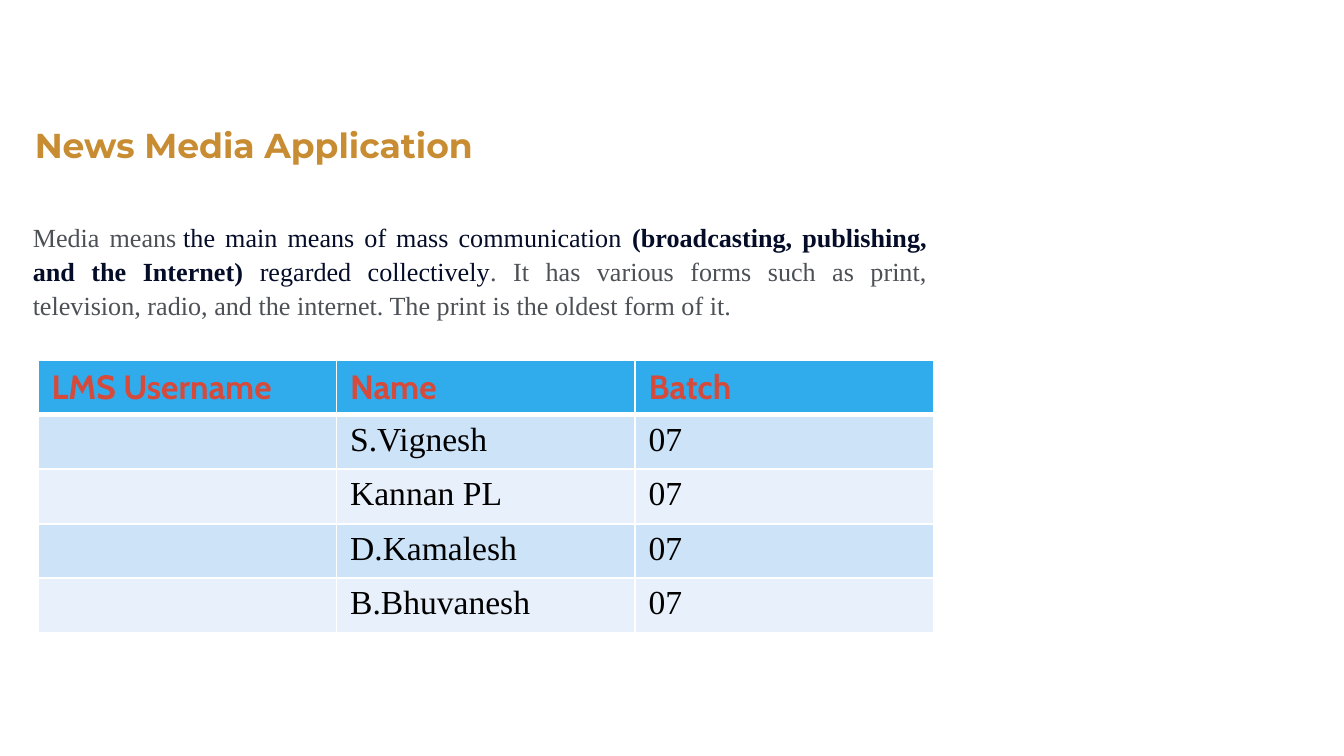
from lxml.etree import SubElement
from pptx import Presentation
from pptx.dml.color import RGBColor
from pptx.enum.text import PP_ALIGN
from pptx.oxml.ns import qn
from pptx.util import Cm, Pt

GOLD = RGBColor(0xC8, 0x8C, 0x32)
GREY = RGBColor(0x4D, 0x51, 0x56)
NAVY = RGBColor(0x04, 0x0C, 0x28)
RED = RGBColor(0xD6, 0x4A, 0x3B)
BLACK = RGBColor(0x00, 0x00, 0x00)
WHITE = RGBColor(0xFF, 0xFF, 0xFF)
BLUE = RGBColor(0x30, 0xAC, 0xEC)
BANDS = (RGBColor(0xCD, 0xE3, 0xF8), RGBColor(0xE8, 0xF1, 0xFB))
SERIF = "Times New Roman"

INTRO = [
    ("Media means\u00a0", GREY, False),
    ("the main means of mass communication ", NAVY, False),
    ("(broadcasting, publishing, and the Internet)", NAVY, True),
    (" regarded collectively", NAVY, False),
    (". It has various forms such as print, television, radio, and the internet. "
     "The print is the oldest form of it.", GREY, False),
]
TEAM = [
    ("LMS Username", "Name", "Batch"),
    ("", "S.Vignesh", "07"),
    ("", "Kannan PL", "07"),
    ("", "D.Kamalesh", "07"),
    ("", "B.Bhuvanesh", "07"),
]


def add_run(p, text, font, size, color, bold):
    """Append one formatted run to a paragraph."""
    r = p.add_run()
    r.text = text
    r.font.name = font
    r.font.size = Pt(size)
    r.font.color.rgb = color
    r.font.bold = bold


def add_paragraph_box(s, box, spacing, align):
    """Add a wrapping text box without margins and return its paragraph."""
    tf = s.shapes.add_textbox(*box).text_frame
    tf.word_wrap = True
    tf.margin_left = tf.margin_top = tf.margin_right = tf.margin_bottom = 0
    p = tf.paragraphs[0]
    p.line_spacing = Pt(spacing)
    p.alignment = align
    return p


def add_title(s, box):
    """Place the slide heading in the given box."""
    p = add_paragraph_box(s, box, 23.8, PP_ALIGN.LEFT)
    add_run(p, "News Media Application", "Montserrat", 18.5, GOLD, True)


def add_intro(s, box):
    """Place the justified introduction in the given box."""
    p = add_paragraph_box(s, box, 18, PP_ALIGN.JUSTIFY)
    for text, color, bold in INTRO:
        add_run(p, text, SERIF, 14, color, bold)


def set_borders(cell, bottom):
    """Draw white cell borders, with the bottom width in points."""
    tcPr = cell._tc.get_or_add_tcPr()
    for side, width in (("L", 1), ("R", 1), ("T", 1), ("B", bottom)):
        ln = SubElement(tcPr, qn(f"a:ln{side}"), w=str(Pt(width)))
        fill = SubElement(ln, qn("a:solidFill"))
        SubElement(fill, qn("a:srgbClr"), val=str(WHITE))


def add_team_table(s, box):
    """Place the banded team table in the given box."""
    table = s.shapes.add_table(len(TEAM), len(TEAM[0]), *box).table
    for i, row in enumerate(TEAM):
        header = i == 0
        for j, text in enumerate(row):
            cell = table.cell(i, j)
            set_borders(cell, 3 if header else 1)
            cell.fill.solid()
            cell.fill.fore_color.rgb = BLUE if header else BANDS[(i - 1) % 2]
            p = cell.text_frame.paragraphs[0]
            if header:
                add_run(p, text, "Cabin", 18, RED, True)
            elif text:
                add_run(p, text, SERIF, 18, BLACK, False)


def main():
    """Build the slide and save it."""
    prs = Presentation()
    prs.slide_width, prs.slide_height = Cm(25.4), Cm(14.29)
    s = prs.slides.add_slide(prs.slide_layouts[6])
    add_title(s, (Cm(0.66), Cm(2.29), Cm(11.45), Cm(0.82)))
    add_intro(s, (Cm(0.62), Cm(4.15), Cm(16.9), Cm(1.88)))
    add_team_table(s, (Cm(0.72), Cm(6.81), Cm(16.93), Cm(5.15)))
    prs.save("out.pptx")


if __name__ == "__main__":
    main()
